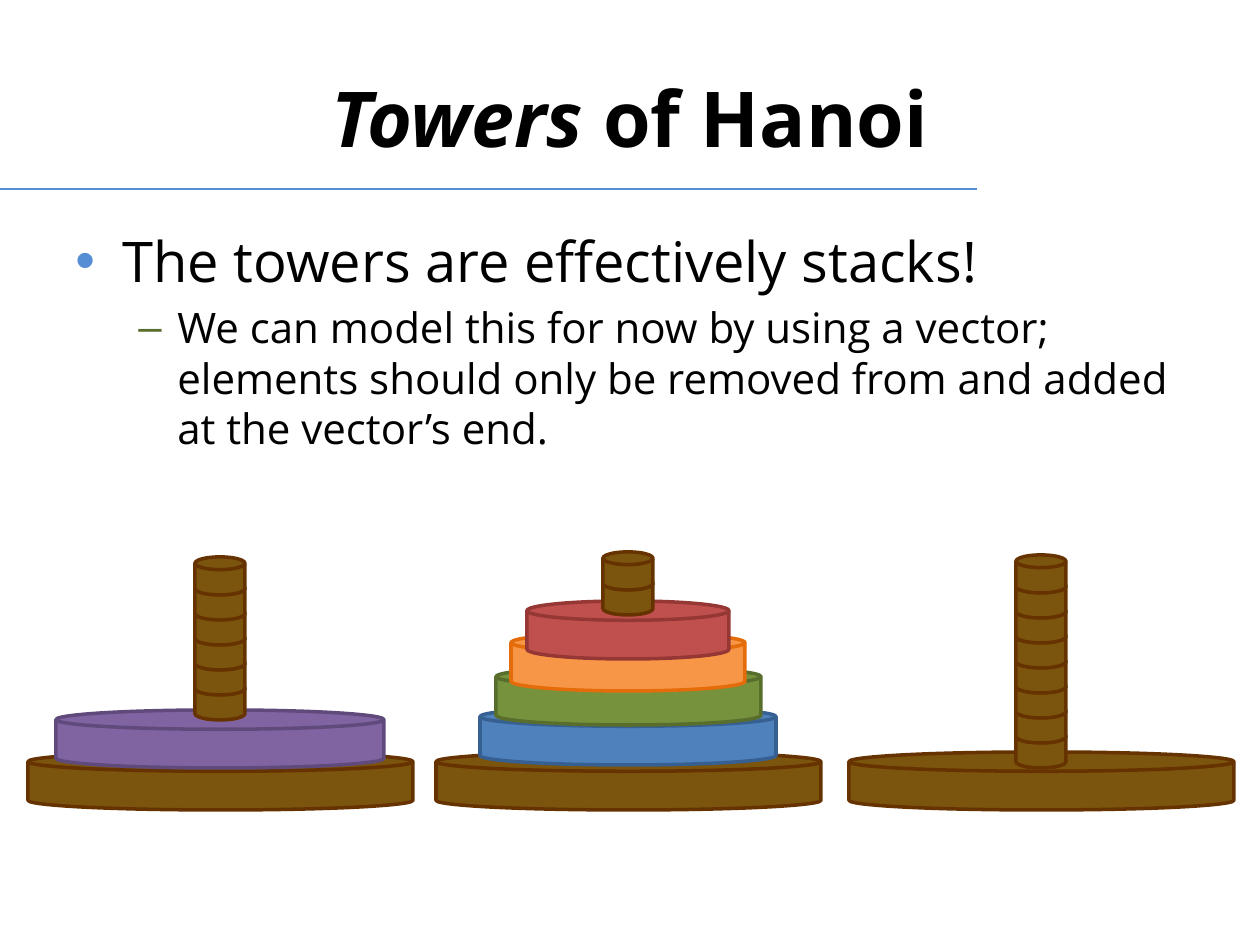
from pptx import Presentation
from pptx.dml.color import RGBColor
from pptx.enum.shapes import MSO_CONNECTOR, MSO_SHAPE
from pptx.enum.text import MSO_ANCHOR, PP_ALIGN
from pptx.oxml.ns import qn
from pptx.util import Pt
from lxml import etree

SCALE = 914400 // 126
DISK = MSO_SHAPE.FLOWCHART_MAGNETIC_DISK
STRAIGHT = MSO_CONNECTOR.STRAIGHT
MIDDLE, TOP = MSO_ANCHOR.MIDDLE, MSO_ANCHOR.TOP
CENTER = PP_ALIGN.CENTER

COLORS = {
    "text": "000000", "rule": "558ED5", "dash": "596E2D",
    "wood": "7B540D", "wood edge": "663300",
    "purple": "8064A2", "purple edge": "604A7B",
    "blue": "4F81BD", "blue edge": "376092",
    "green": "76923C", "green edge": "596E2D",
    "orange": "F79646", "orange edge": "E46C0A",
    "red": "C0504D", "red edge": "953735",
}


def px(*lengths):
    """Turn pixels into EMU."""
    return [length * SCALE for length in lengths]


def color(name):
    """Look up a colour by name."""
    return RGBColor.from_string(COLORS[name])


def apply(target, values):
    """Set each attribute in values on target."""
    for name, value in values.items():
        setattr(target, name, value)


class TowerSlide:
    """A slide with its style and its kinds of element."""

    font = "Open Sans"
    disk_height = 58
    peg_width, peg_height, peg_step = 50, 38, 25

    def __init__(self, deck):
        """Add a title-only slide."""
        self.slide = deck.slides.add_slide(deck.slide_layouts[5])
        self.shapes = self.slide.shapes

    def run(self, paragraph, text, size, **formats):
        """Add a styled run of text."""
        run = paragraph.add_run()
        run.text = text
        apply(run.font, {"name": self.font, "size": Pt(size), **formats})
        run.font.color.rgb = color("text")

    def rule(self, x1, y1, x2, y2):
        """Draw a thin line."""
        line = self.shapes.add_connector(STRAIGHT, *px(x1, y1, x2, y2))
        line.line.color.rgb = color("rule")
        line.line.width = Pt(0.75)
        etree.SubElement(line._element.spPr, qn("a:effectLst"))

    def title(self, box, parts):
        """Place the title from (text, italic) parts."""
        title = self.shapes.title
        apply(title, dict(zip(("left", "top", "width", "height"), px(*box))))
        apply(title.text_frame, {"vertical_anchor": MIDDLE, "word_wrap": True})
        paragraph = title.text_frame.paragraphs[0]
        paragraph.alignment = CENTER
        for text, italic in parts:
            self.run(paragraph, text, 44, bold=True, italic=italic)

    def bullets(self, box, items):
        """Place bulleted paragraphs, one level deeper each."""
        frame = self.shapes.add_textbox(*px(*box)).text_frame
        apply(frame, {"word_wrap": True, "vertical_anchor": TOP})
        for level, (text, size, mark, tint, margin, hang) in enumerate(items):
            paragraph = frame.add_paragraph() if level else frame.paragraphs[0]
            apply(paragraph, {"level": level, "space_before": Pt(size * 0.2)})
            self.run(paragraph, text, size)
            props = paragraph._p.get_or_add_pPr()
            props.set("marL", str(margin * SCALE))
            props.set("indent", str(-hang * SCALE))
            bullet_color = etree.SubElement(props, qn("a:buClr"))
            etree.SubElement(bullet_color, qn("a:srgbClr"), val=COLORS[tint])
            etree.SubElement(props, qn("a:buFont"), typeface="Arial")
            etree.SubElement(props, qn("a:buChar"), char=mark)

    def disk(self, center, top, width, height, tint):
        """Draw one disk centred on a tower."""
        disk = self.shapes.add_shape(
            DISK, *px(center - width // 2, top, width, height))
        disk.shadow.inherit = False
        disk.fill.solid()
        disk.fill.fore_color.rgb = color(tint)
        disk.line.color.rgb = color(tint + " edge")
        disk.line.width = Pt(2)

    def tower(self, center, disks, peg_top, segments):
        """Draw a base, its disks and the visible peg, bottom up."""
        for top, width, tint in [(752, 385, "wood"), *disks]:
            self.disk(center, top, width, self.disk_height, tint)
        for segment in range(segments):
            self.disk(center, peg_top - segment * self.peg_step,
                      self.peg_width, self.peg_height, "wood")


def main():
    """Build and save the slide."""
    deck = Presentation()
    deck.slide_width, deck.slide_height = px(1260, 945)
    slide = TowerSlide(deck)
    slide.rule(0, 189, 977, 189)
    slide.title((63, 38, 1134, 158), [("Towers", True), (" of Hanoi", False)])
    slide.bullets((63, 220, 1134, 624), [
        ("The towers are effectively stacks!", 32, "•", "rule", 47, 47),
        ("We can model this for now by using a vector; elements should only "
         "be removed from and added at the vector’s end.",
         24, "–", "dash", 102, 39),
    ])
    slide.tower(220, [(710, 328, "purple")], 682, 6)
    slide.tower(628, [(707, 296, "blue"), (667, 265, "green"),
                      (633, 234, "orange"), (601, 202, "red")], 577, 2)
    slide.tower(1041, [], 730, 8)
    deck.save("out.pptx")


main()
